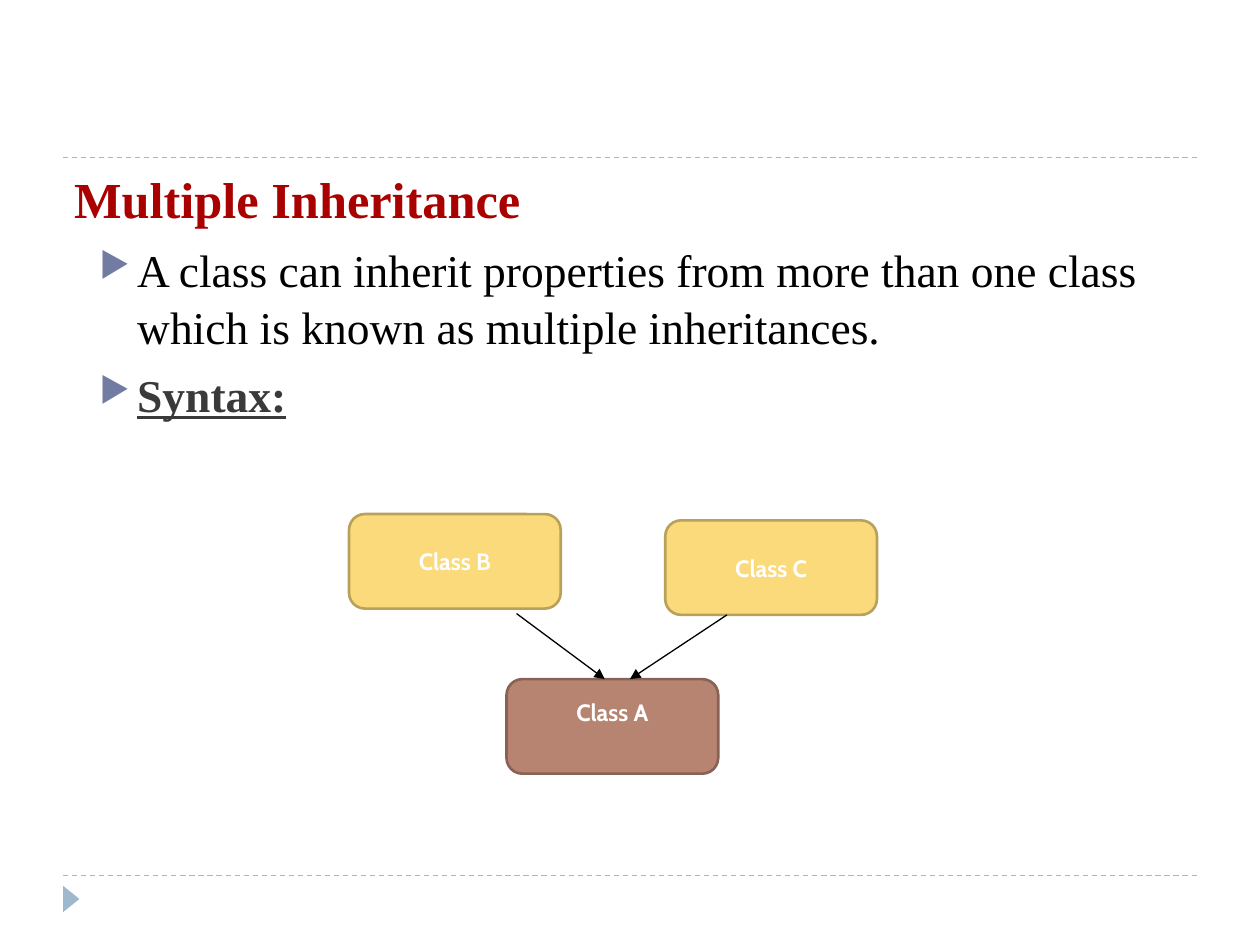
import pptx
import pptx.dml.color
import pptx.enum.dml
import pptx.enum.shapes
import pptx.enum.text
import pptx.oxml
import pptx.oxml.ns
import pptx.util

SERIF, SANS = "Times New Roman", "Cabin"
ACCENT = "9FB8CD"
TITLE = "Multiple Inheritance"
BULLETS = [
    ("A class can inherit properties from more than one class which is known as multiple inheritances.",
     {"color": "000000"}),
    ("Syntax:", {"color": "3A3A3A", "bold": True, "underline": True}),
]
BOX_WIDTH, BOX_HEIGHT = 1.68, 0.75
CLASSES = [
    ("Class B", 2.77, 4.08, "FADA7A", "B9A15A", 0.05),
    ("Class C", 5.28, 4.13, "FADA7A", "B9A15A", 0.05),
    ("Class A", 4.02, 5.39, "B88472", "886254", 0.28),
]
ARROWS = [((4.1, 4.87), (4.8, 5.39)), ((5.77, 4.88), (5, 5.39))]
RULES = [1.25, 6.95]
inches = pptx.util.Inches


def rgb(value):
    """Turn a hex string into a colour."""
    return pptx.dml.color.RGBColor.from_string(value)


def add_xml(parent, tag, **attributes):
    """Append an empty drawing element to a parent element."""
    child = pptx.oxml.parse_xml(f"<{tag} {pptx.oxml.ns.nsdecls('a')}/>")
    for name, value in attributes.items():
        child.set(name, value)
    parent.append(child)
    return child


def write(para, text, size, color, font=SERIF, bold=False, underline=False):
    """Add formatted text to a paragraph."""
    span = para.add_run()
    span.text = text
    span.font.size = pptx.util.Pt(size)
    span.font.name = font
    span.font.bold = bold
    span.font.underline = underline
    span.font.color.rgb = rgb(color)


def add_frame(slide, left, top, width, height):
    """Add a wrapping text box and return its text frame."""
    box = slide.shapes.add_textbox(*map(inches, (left, top, width, height)))
    box.text_frame.word_wrap = True
    return box.text_frame


def add_bullet(para):
    """Give a paragraph a hanging triangle bullet."""
    properties = para._p.get_or_add_pPr()
    indent = inches(0.3)
    properties.set("marL", str(indent))
    properties.set("indent", str(-indent))
    color = add_xml(properties, "a:buClr")
    add_xml(color, "a:srgbClr", val="727CA3")
    add_xml(properties, "a:buSzPct", val="76000")
    add_xml(properties, "a:buChar", char="▶")


def add_shape(slide, kind, left, top, width, height, fill, outline=None):
    """Add a flat preset shape."""
    shape = slide.shapes.add_shape(kind, *map(inches, (left, top, width, height)))
    shape.shadow.inherit = False
    shape.fill.solid()
    shape.fill.fore_color.rgb = rgb(fill)
    if outline:
        shape.line.color.rgb = rgb(outline)
        shape.line.width = pptx.util.Pt(1.5)
    else:
        shape.line.fill.background()
    return shape


def add_line(slide, start, end, color, dashed=False, arrow=False):
    """Add a thin straight line."""
    line = slide.shapes.add_connector(
        pptx.enum.shapes.MSO_CONNECTOR.STRAIGHT, *map(inches, (*start, *end)))
    line.line.color.rgb = rgb(color)
    line.line.width = pptx.util.Pt(0.75)
    if dashed:
        line.line.dash_style = pptx.enum.dml.MSO_LINE.DASH
    if arrow:
        add_xml(line.line._get_or_add_ln(), "a:tailEnd", type="triangle")
    add_xml(line._element.spPr, "a:effectLst")


def main():
    """Build and save the slide."""
    deck = pptx.Presentation()
    deck.slide_width, deck.slide_height = inches(10), inches(7.5)
    slide = deck.slides.add_slide(deck.slide_layouts[6])
    kinds = pptx.enum.shapes.MSO_SHAPE
    middle = pptx.enum.text.MSO_ANCHOR.MIDDLE

    for height in RULES:
        add_line(slide, (0.5, height), (9.5, height), ACCENT, dashed=True)
    marker = add_shape(slide, kinds.ISOSCELES_TRIANGLE, 0.46, 7.07, 0.21, 0.13, ACCENT)
    marker.rotation = 90

    title = add_frame(slide, 0.49, 1.3, 8.62, 0.55)
    title.vertical_anchor = middle
    write(title.paragraphs[0], TITLE, 28.8, "A90000", bold=True)

    body = add_frame(slide, 0.69, 1.85, 8.62, 3.57)
    for index, (text, style) in enumerate(BULLETS):
        para = body.add_paragraph() if index else body.paragraphs[0]
        para.space_before = pptx.util.Pt(6)
        para.line_spacing = 1.05
        add_bullet(para)
        write(para, text, 26, **style)

    for name, left, top, fill, outline, inset in CLASSES:
        box = add_shape(slide, kinds.ROUNDED_RECTANGLE, left, top, BOX_WIDTH, BOX_HEIGHT, fill, outline)
        frame = box.text_frame
        frame.vertical_anchor = middle
        frame.margin_bottom = inches(inset)
        para = frame.paragraphs[0]
        para.alignment = pptx.enum.text.PP_ALIGN.CENTER
        write(para, name, 13.5, "FFFFFF", font=SANS, bold=True)

    for start, end in ARROWS:
        add_line(slide, start, end, "000000", arrow=True)
    deck.save("out.pptx")


if __name__ == "__main__":
    main()
